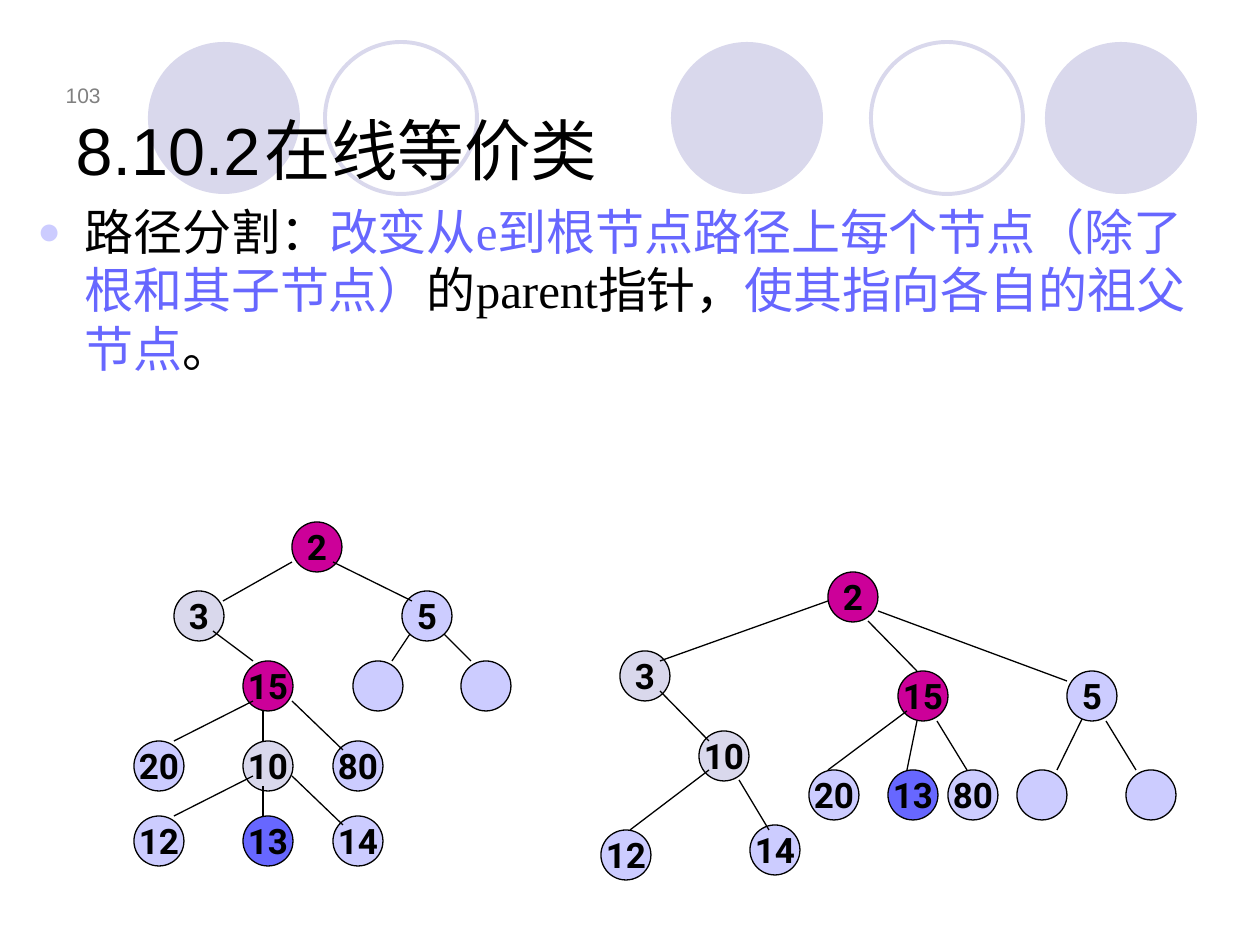
from typing import NamedTuple

from lxml import etree
from pptx import Presentation, util as u
from pptx.dml.color import RGBColor
from pptx.enum import shapes, text
from pptx.oxml import ns

EMU_PER_PX = 914400 / 126
NODE_SIZE = 50
RING_SIZE = 152

BLACK = RGBColor(0x00, 0x00, 0x00)
GREY = RGBColor(0x80, 0x80, 0x80)
MIST = RGBColor(0xD9, 0xD8, 0xEC)
LILAC = RGBColor(0xCC, 0xCC, 0xFF)
VIOLET = RGBColor(0x67, 0x67, 0xFF)
MAGENTA = RGBColor(0xCC, 0x00, 0x99)


class Backdrop(NamedTuple):
    x: int
    y: int
    filled: bool


class Node(NamedTuple):
    x: int
    y: int
    label: str = ""
    fill: RGBColor = LILAC


class Edge(NamedTuple):
    x1: int
    y1: int
    x2: int
    y2: int


BACKDROPS = [
    Backdrop(671, 42, True), Backdrop(1045, 42, True), Backdrop(148, 42, True),
    Backdrop(871, 42, False), Backdrop(325, 42, False),
]

BEFORE_SPLITTING = [
    Node(292, 522, "2", MAGENTA),
    Node(174, 591, "3", MIST), Node(402, 591, "5"),
    Node(243, 661, "15", MAGENTA), Node(353, 661), Node(461, 661),
    Node(134, 741, "20"), Node(243, 741, "10", MIST), Node(333, 741, "80"),
    Node(134, 816, "12"), Node(243, 816, "13", VIOLET), Node(333, 816, "14"),
]

AFTER_SPLITTING = [
    Node(828, 572, "2", MAGENTA),
    Node(620, 651, "3", MIST), Node(898, 671, "15", MAGENTA), Node(1067, 671, "5"),
    Node(699, 731, "10", MIST),
    Node(809, 770, "20"), Node(888, 770, "13", VIOLET), Node(948, 770, "80"),
    Node(1017, 770), Node(1126, 770),
    Node(601, 830, "12"), Node(750, 825, "14"),
]

EDGES_BEHIND_NODES = [
    Edge(392, 661, 412, 631), Edge(471, 661, 441, 631), Edge(1057, 770, 1086, 711),
]

EDGES_OVER_NODES = [
    Edge(223, 601, 292, 562), Edge(412, 601, 333, 562), Edge(253, 661, 213, 631),
    Edge(174, 741, 253, 701), Edge(263, 741, 263, 711), Edge(343, 750, 292, 701),
    Edge(174, 816, 253, 776), Edge(263, 816, 263, 786), Edge(343, 825, 292, 776),
    Edge(660, 661, 828, 601), Edge(917, 671, 868, 621), Edge(1067, 681, 878, 611),
    Edge(709, 741, 660, 691), Edge(630, 830, 709, 770), Edge(769, 830, 739, 780),
    Edge(828, 770, 907, 711), Edge(907, 770, 917, 721), Edge(967, 770, 937, 721),
    Edge(1136, 770, 1106, 721),
]

DEFINITION = [
    ("路径分割：", BLACK),
    ("改变从e到根节点路径上每个节点（除了根和其子节点）", VIOLET),
    ("的parent指针，", BLACK),
    ("使其指向各自的祖父节点", VIOLET),
    ("。", BLACK),
]


def px(length: int) -> u.Emu:
    return u.Emu(round(length * EMU_PER_PX))


def box(*lengths: int) -> list[u.Emu]:
    return [px(length) for length in lengths]


def set_font(font, name: str, size: int, color: RGBColor, bold: bool = False) -> None:
    font.name, font.size, font.bold = name, u.Pt(size), bold
    font.color.rgb = color


def add_circle(slide, x: int, y: int, size: int):
    circle = slide.shapes.add_shape(shapes.MSO_SHAPE.OVAL, *box(x, y, size, size))
    circle.shadow.inherit = False
    return circle


def add_backdrop(slide, backdrop: Backdrop) -> None:
    circle = add_circle(slide, backdrop.x, backdrop.y, RING_SIZE)
    if backdrop.filled:
        circle.fill.solid()
        circle.fill.fore_color.rgb = MIST
        circle.line.fill.background()
    else:
        circle.fill.background()
        circle.line.color.rgb = MIST
        circle.line.width = u.Pt(2.25)


def add_node(slide, node: Node) -> None:
    circle = add_circle(slide, node.x, node.y, NODE_SIZE)
    circle.fill.solid()
    circle.fill.fore_color.rgb = node.fill
    circle.line.color.rgb = BLACK
    circle.line.width = u.Pt(0.75)
    if node.label:
        frame = circle.text_frame
        frame.word_wrap = False
        frame.vertical_anchor = text.MSO_ANCHOR.MIDDLE
        label = frame.paragraphs[0]
        label.text = node.label
        label.alignment = text.PP_ALIGN.CENTER
        set_font(label.font, "Roboto", 20, BLACK, bold=True)


def add_edge(slide, edge: Edge) -> None:
    line = slide.shapes.add_connector(shapes.MSO_CONNECTOR.STRAIGHT, *box(*edge))
    line.line.color.rgb = BLACK
    line.line.width = u.Pt(0.75)
    etree.SubElement(line._element.spPr, ns.qn("a:effectLst"))


def format_title(slide) -> None:
    title = slide.shapes.title
    title.left, title.top, title.width, title.height = box(63, 38, 1134, 157)
    slide.shapes._spTree.append(title._element)
    frame = title.text_frame
    frame.auto_size = text.MSO_AUTO_SIZE.NONE
    frame.vertical_anchor = text.MSO_ANCHOR.BOTTOM
    heading = frame.paragraphs[0]
    heading.text = "8.10.2\t在线等价类"
    heading.alignment = text.PP_ALIGN.LEFT
    set_font(heading.font, "Arial", 38, BLACK)


def add_page_number(slide) -> None:
    frame = slide.shapes.add_textbox(*box(44, 55, 69, 59)).text_frame
    frame.word_wrap = True
    frame.vertical_anchor = text.MSO_ANCHOR.BOTTOM
    number = frame.paragraphs[0]
    number.text = "103"
    number.alignment = text.PP_ALIGN.RIGHT
    set_font(number.font, "Arial", 12, GREY)


def add_bullet(paragraph, color: RGBColor, indent: u.Emu) -> None:
    props = paragraph._p.get_or_add_pPr()
    props.set("marL", str(indent))
    props.set("indent", str(-indent))
    bullet_color = etree.SubElement(props, ns.qn("a:buClr"))
    etree.SubElement(bullet_color, ns.qn("a:srgbClr"), val=str(color))
    etree.SubElement(props, ns.qn("a:buSzPct"), val="80000")
    etree.SubElement(props, ns.qn("a:buFont"), typeface="Arial")
    etree.SubElement(props, ns.qn("a:buChar"), char="●")


def add_definition(slide) -> None:
    frame = slide.shapes.add_textbox(*box(25, 195, 1201, 287)).text_frame
    frame.word_wrap = True
    definition = frame.paragraphs[0]
    definition.space_before = u.Pt(5.6)
    add_bullet(definition, LILAC, px(47))
    for words, color in DEFINITION:
        run = definition.add_run()
        run.text = words
        set_font(run.font, "Times New Roman", 28, color)


def main() -> None:
    """Build the slide on path splitting for online equivalence classes."""
    deck = Presentation()
    deck.slide_width, deck.slide_height = box(1260, 945)
    slide = deck.slides.add_slide(deck.slide_layouts[5])
    for backdrop in BACKDROPS:
        add_backdrop(slide, backdrop)
    add_page_number(slide)
    format_title(slide)
    add_definition(slide)
    for edge in EDGES_BEHIND_NODES:
        add_edge(slide, edge)
    for node in BEFORE_SPLITTING + AFTER_SPLITTING:
        add_node(slide, node)
    for edge in EDGES_OVER_NODES:
        add_edge(slide, edge)
    deck.save("out.pptx")


if __name__ == "__main__":
    main()
